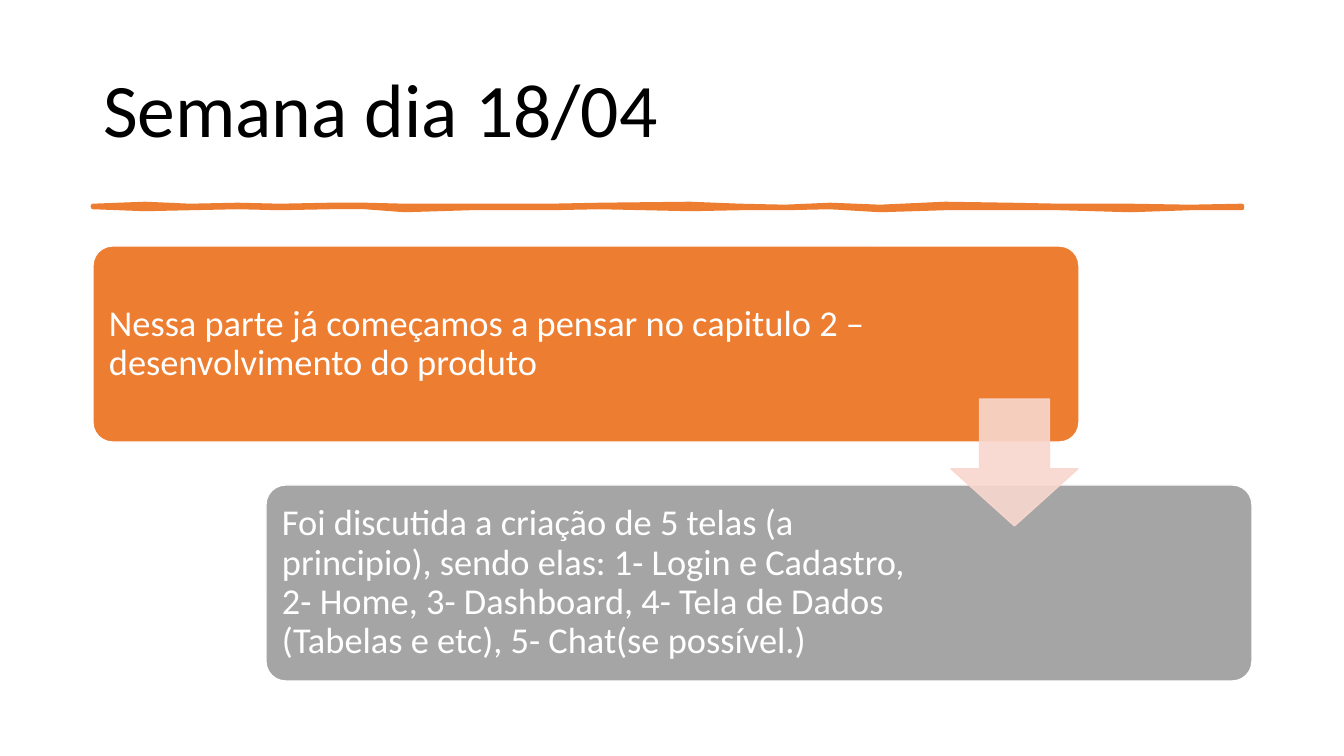
from pptx import Presentation, util as u
from pptx.dml.color import RGBColor
from pptx.enum import shapes, text
from pptx.oxml.ns import qn
from lxml import etree

# Content: lengths in px, 100.8 to the inch
PX = 914400 / 100.8
FONT = "Calibri"
ORANGE, GREY, PINK, WHITE, BLACK = "ED7D31", "A5A5A5", "F8D7CE", "FFFFFF", "000000"
TITLE = ("Semana dia 18/04", (93, 40, 1159, 146))
STEPS = [  # text, fill, text width
    ("Nessa parte já começamos a pensar no capitulo 2 – desenvolvimento do produto",
     ORANGE, 783),
    ("Foi discutida a criação de 5 telas (a principio), sendo elas: "
     "1- Login e Cadastro, 2- Home, 3- Dashboard, 4- Tela de Dados "
     "(Tabelas e etc), 5- Chat(se possível.)", GREY, 672),
]
LEFT, TOP, WIDE, HIGH = 93, 246, 986, 196
DX, DY, PAD, INSET = 173, 239, 5, 11
ARROW = (951, 399, 127, 127)
BRUSH = [  # x, upper edge, lower edge
    (93, 206, 207), (145, 204, 209), (190, 206, 208), (238, 205, 207),
    (280, 206, 208), (330, 205, 207), (365, 205, 207), (405, 206, 210),
    (470, 206, 208), (550, 206, 208), (600, 205, 207), (690, 204, 209),
    (740, 206, 208), (785, 207, 208), (830, 205, 207), (880, 207, 210),
    (945, 204, 208), (1010, 205, 208), (1060, 206, 208), (1130, 206, 210),
    (1190, 207, 208), (1242, 206, 208),
]


def emu(*vals):
    return [u.Emu(round(v * PX)) for v in vals]


def rgb(hue):
    return RGBColor.from_string(hue)


def paint(shape, fill, line, width):
    shape.shadow.inherit = False
    shape.fill.solid()
    shape.fill.fore_color.rgb = rgb(fill)
    shape.line.color.rgb = rgb(line)
    shape.line.width = u.Pt(width)


def write(shape, words, size, hue):
    frame = shape.text_frame
    frame.text = words
    frame.word_wrap = True
    frame.auto_size = text.MSO_AUTO_SIZE.NONE
    frame.vertical_anchor = text.MSO_ANCHOR.MIDDLE
    para = frame.paragraphs[0]
    para.alignment = text.PP_ALIGN.LEFT
    para.line_spacing = 0.9
    font = para.runs[0].font
    font.name, font.size, font.color.rgb = FONT, u.Pt(size), rgb(hue)
    return frame


def main():
    prs = Presentation()
    prs.slide_width, prs.slide_height = emu(1344, 756)
    slide = prs.slides.add_slide(prs.slide_layouts[5])
    parts = slide.shapes

    # Title
    title = parts.title
    title.left, title.top, title.width, title.height = emu(*TITLE[1])
    write(title, TITLE[0], 54, BLACK)

    # Brush stroke under the title
    edge = [(x, y) for x, y, _ in BRUSH] + [(x, y) for x, _, y in reversed(BRUSH)]
    pts = [emu(*p) for p in edge]
    pen = parts.build_freeform(*pts[0], scale=1.0)
    pen.add_line_segments(pts[1:], close=True)
    paint(pen.convert_to_shape(), ORANGE, ORANGE, 3.25)

    # Staggered steps
    for i, (words, fill, wide) in enumerate(STEPS):
        x, y = LEFT + i * DX, TOP + i * DY
        card = parts.add_shape(shapes.MSO_SHAPE.ROUNDED_RECTANGLE,
                               *emu(x, y, WIDE, HIGH))
        card.adjustments[0] = 0.1
        paint(card, fill, WHITE, 1)
        box = parts.add_textbox(*emu(x + PAD, y + PAD, wide, HIGH - 2 * PAD))
        frame = write(box, words, 26, WHITE)
        (frame.margin_left, frame.margin_top,
         frame.margin_right, frame.margin_bottom) = emu(*[INSET] * 4)

    # Arrow between the steps, slightly see-through
    arrow = parts.add_shape(shapes.MSO_SHAPE.DOWN_ARROW, *emu(*ARROW))
    arrow.adjustments[0], arrow.adjustments[1] = 0.55, 0.45
    paint(arrow, PINK, PINK, 1)
    for hue in arrow._element.spPr.iter(qn("a:srgbClr")):
        etree.SubElement(hue, qn("a:alpha")).set("val", "90000")

    prs.save("out.pptx")


if __name__ == "__main__":
    main()
